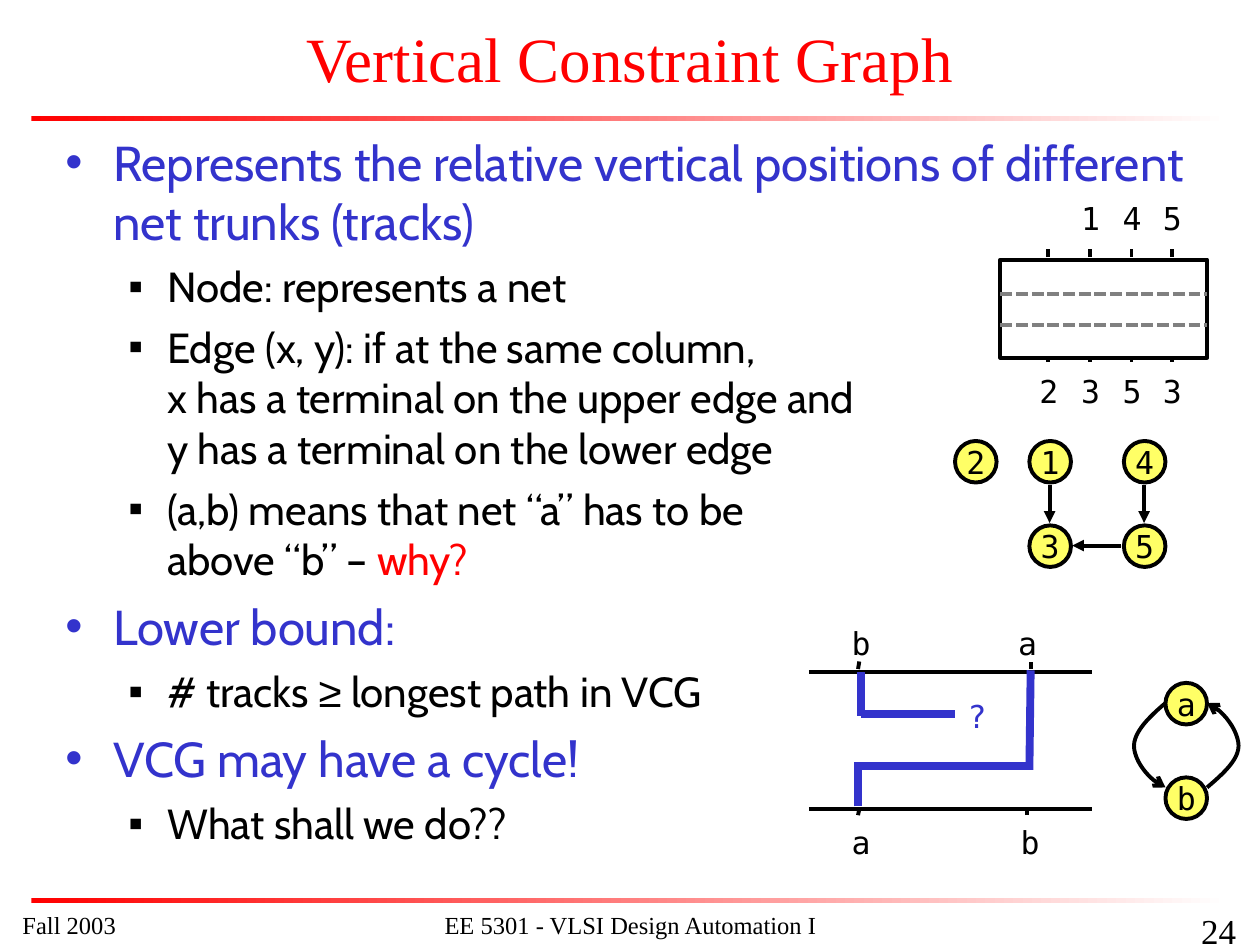
"""Build the slide on the vertical constraint graph."""
from dataclasses import dataclass

from lxml.etree import SubElement
from pptx import Presentation
from pptx.dml.color import RGBColor as Rgb
from pptx.enum.dml import MSO_LINE as Dash
from pptx.enum.shapes import MSO_CONNECTOR as Link, MSO_SHAPE as Kind
from pptx.enum.text import MSO_ANCHOR as Anchor, PP_ALIGN as Align
from pptx.oxml.ns import qn
from pptx.util import Inches, Pt

HUES = {"red": "FF0000", "blue": "3333CC", "black": "000000",
        "gray": "808080", "yellow": "FFFF66", "white": "FFFFFF"}
MONO, SERIF, SANS = "DejaVu Sans Mono", "Times New Roman", "Cabin"
DOT = 0.33


@dataclass
class Level:
    left: float
    hang: float
    gap: int
    mark: str
    size: int
    hue: str


@dataclass
class Node:
    text: str
    x: float
    y: float


@dataclass
class Line:
    x1: float
    y1: float
    x2: float
    y2: float
    hue: str = "black"
    width: float = 2.25
    dash: bool = False
    head: str = ""


@dataclass
class Label:
    text: str
    x: float
    y: float
    hue: str = "black"


TOP = Level(0.38, 0.38, 7, "•", 28, "blue")
SUB = Level(0.81, 0.31, 6, "▪", 24, "black")
BODY = [
    (TOP, [("Represents the relative vertical positions of different net trunks (tracks)", {})]),
    (SUB, [("Node: represents a net", {})]),
    (SUB, [("Edge (x, y): if at the same column,\nx has a terminal on the upper edge and\n"
            "y has a terminal on the lower edge", {})]),
    (SUB, [("(a,b) means that net “a” has to be\nabove “b” – ", {}), ("why?", {"hue": "red"})]),
    (TOP, [("Lower bound:", {})]),
    (SUB, [("# tracks ", {}), ("≥", {"font": "Arial"}), (" longest path in VCG", {})]),
    (TOP, [("VCG may have a cycle!", {})]),
    (SUB, [("What shall we do??", {})]),
]
COLS = [8.32, 8.65, 8.98, 9.3]
NODES = [Node("2", 7.58, 3.5), Node("1", 8.17, 3.5), Node("4", 8.92, 3.5),
         Node("3", 8.17, 4.17), Node("5", 8.92, 4.17),
         Node("a", 9.25, 5.42), Node("b", 9.25, 6.17)]
TRACKS = [Line(7.94, y, 9.58, y, "gray", dash=True) for y in (2.33, 2.58)]
TICKS = [Line(x, y, x, y - rise) for y, rise in ((2.87, 0.04), (2.04, 0.06)) for x in COLS]
EDGES = [Line(8.33, 3.85, 8.33, 4.15, head="triangle"),
         Line(9.08, 3.85, 9.08, 4.15, head="triangle"),
         Line(8.9, 4.33, 8.51, 4.33, head="triangle")]
RAILS = [Line(6.42, y, 8.67, y) for y in (5.33, 6.42)]
PINS = [Line(6.81, 5.31, 6.82, 5.25), Line(8.18, 5.31, 8.18, 5.25),
        Line(6.81, 6.47, 6.82, 6.42), Line(8.15, 6.47, 8.15, 6.42)]
WIRES = [Line(*ends, "blue", 4.5) for ends in (
    (6.81, 6.08, 8.17, 6.08), (8.17, 6.11, 8.18, 5.32), (6.81, 6.4, 6.81, 6.05),
    (6.83, 5.68, 6.83, 5.33), (6.83, 5.67, 7.58, 5.67))]
LABELS = [Label(t, x, 1.58) for t, x in zip("145", COLS[1:])]
LABELS += [Label(t, x, 2.95) for t, x in zip("2353", COLS)]
LABELS += [Label("b", 6.83, 4.95), Label("a", 8.15, 4.95), Label("a", 6.83, 6.53),
           Label("b", 8.17, 6.53), Label("?", 7.75, 5.53, "blue")]
ARCS = [
    [[(9.25, 5.58), (9.12, 5.69), (9, 5.81), (9, 5.92)],
     [(9, 5.92), (9, 6.03), (9.11, 6.19), (9.25, 6.25)]],
    [[(9.58, 6.25), (9.71, 6.14), (9.83, 6.03), (9.83, 5.92)],
     [(9.83, 5.92), (9.83, 5.81), (9.72, 5.64), (9.58, 5.58)]],
]


def tint(name: str) -> Rgb:
    """Give the colour with this name."""
    return Rgb.from_string(HUES[name])


def write(para, text: str, *, size=18, font=MONO, hue="black", align=Align.LEFT) -> None:
    """Add formatted text to a paragraph."""
    para.alignment = align
    for i, part in enumerate(text.split("\n")):
        if i:
            para.add_line_break()
        run = para.add_run()
        run.text = part
        run.font.size, run.font.name = Pt(size), font
        run.font.color.rgb = tint(hue)


def trim(frame, pad: bool, wrap: bool, anchor=Anchor.TOP) -> None:
    """Set the margins, wrap and anchor of a text frame."""
    frame.margin_left = frame.margin_right = Inches(0.1 * pad)
    frame.margin_top = frame.margin_bottom = Inches(0.05 * pad)
    frame.word_wrap, frame.vertical_anchor = wrap, anchor


def box(slide, x: float, y: float, w: float, h: float, pad=True, anchor=Anchor.TOP):
    """Add a text box and return its text frame."""
    frame = slide.shapes.add_textbox(Inches(x), Inches(y), Inches(w), Inches(h)).text_frame
    trim(frame, pad, pad, anchor)
    return frame


def shape(slide, kind, x: float, y: float, w: float, h: float):
    """Add a plain preset shape."""
    form = slide.shapes.add_shape(kind, Inches(x), Inches(y), Inches(w), Inches(h))
    form.shadow.inherit = False
    return form


def stroke(line, hue="black", width=2.25, dash=False, head="") -> None:
    """Style a line and its arrowhead."""
    line.color.rgb, line.width = tint(hue), Pt(width)
    if dash:
        line.dash_style = Dash.SQUARE_DOT
    if head:
        SubElement(line._get_or_add_ln(), qn("a:tailEnd"), type=head)


def bar(slide, y: float) -> None:
    """Draw a rule that fades to white."""
    form = shape(slide, Kind.RECTANGLE, 0.25, y, 9.5, 0.04)
    form.line.fill.background()
    form.fill.gradient()
    form.fill.gradient_angle = 0
    for stop, hue in zip(form.fill.gradient_stops, ("red", "white")):
        stop.color.rgb = tint(hue)


def join(slide, item: Line) -> None:
    """Draw a straight line."""
    ends = [Inches(v) for v in (item.x1, item.y1, item.x2, item.y2)]
    link = slide.shapes.add_connector(Link.STRAIGHT, *ends)
    stroke(link.line, item.hue, item.width, item.dash, item.head)
    SubElement(link._element.spPr, qn("a:effectLst"))


def circle(slide, node: Node) -> None:
    """Draw a graph node."""
    form = shape(slide, Kind.OVAL, node.x, node.y, DOT, DOT)
    form.fill.solid()
    form.fill.fore_color.rgb = tint("yellow")
    stroke(form.line)
    trim(form.text_frame, False, False, Anchor.MIDDLE)
    write(form.text_frame.paragraphs[0], node.text, align=Align.CENTER)


def curve(slide, arc: list) -> None:
    """Draw cubic curves as one open outline with an arrowhead."""
    dots = []
    for a, b, c, d in arc:
        for t in (i / 12 for i in range(13)):
            u = 1 - t
            dots.append(tuple(Inches(u**3 * p + 3 * u * u * t * q + 3 * u * t * t * r + t**3 * s)
                              for p, q, r, s in zip(a, b, c, d)))
    pen = slide.shapes.build_freeform(*dots[0])
    pen.add_line_segments(dots[1:], close=False)
    form = pen.convert_to_shape()
    form.shadow.inherit = False
    form.fill.background()
    stroke(form.line, head="arrow")


def bullet(para, level: Level) -> None:
    """Give a paragraph its bullet and indent."""
    para.space_before = Pt(level.gap)
    props = para._p.get_or_add_pPr()
    props.set("marL", str(Inches(level.left)))
    props.set("indent", str(-Inches(level.hang)))
    SubElement(SubElement(props, qn("a:buClr")), qn("a:srgbClr"), val=HUES[level.hue])
    SubElement(props, qn("a:buFont"), typeface="Arial")
    SubElement(props, qn("a:buChar"), char=level.mark)


def main() -> None:
    """Build and save the slide."""
    deck = Presentation()
    deck.slide_width, deck.slide_height = Inches(10), Inches(7.5)
    slide = deck.slides.add_slide(deck.slide_layouts[6])
    for y in (0.92, 7.13):
        bar(slide, y)
    frame = box(slide, 0.42, 1, 9.17, 6.08)
    for i, (level, runs) in enumerate(BODY):
        para = frame.add_paragraph() if i else frame.paragraphs[0]
        bullet(para, level)
        for text, extra in runs:
            write(para, text, **{"size": level.size, "font": SANS, "hue": level.hue, **extra})
    title = box(slide, 0, 0.08, 10, 0.75, anchor=Anchor.MIDDLE)
    write(title.paragraphs[0], "Vertical Constraint Graph", size=36, font=SERIF,
          hue="red", align=Align.CENTER)
    frame = shape(slide, Kind.RECTANGLE, 7.94, 2.06, 1.64, 0.78)
    frame.fill.background()
    stroke(frame.line)
    for item in TRACKS + TICKS + EDGES + PINS + RAILS + WIRES:
        join(slide, item)
    for tag in LABELS:
        spot = box(slide, tag.x - 0.07, tag.y, 0.14, 0.3, pad=False)
        write(spot.paragraphs[0], tag.text, hue=tag.hue, align=Align.CENTER)
    for node in NODES:
        circle(slide, node)
    for arc in ARCS:
        curve(slide, arc)
    for text, x, w, h, size, align in (
            ("EE 5301 - VLSI Design Automation I", 3.17, 3.67, 0.33, 14, Align.CENTER),
            ("24", 7.83, 2.08, 0.25, 20, Align.RIGHT),
            ("Fall 2003", 0.08, 2.08, 0.25, 14, Align.LEFT)):
        foot = box(slide, x, 7.17, w, h)
        write(foot.paragraphs[0], text, size=size, font=SERIF, align=align)
    deck.save("out.pptx")


if __name__ == "__main__":
    main()
